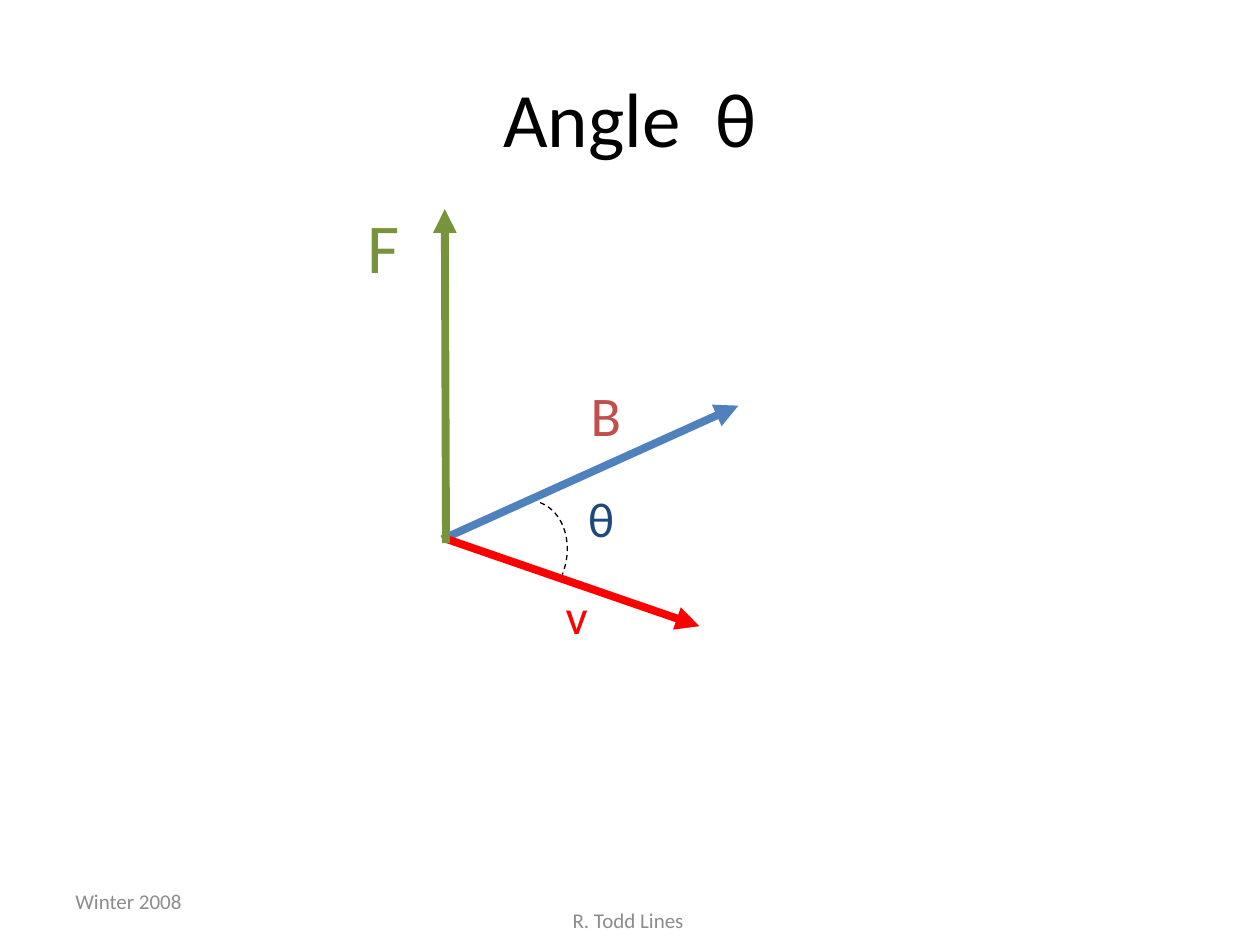
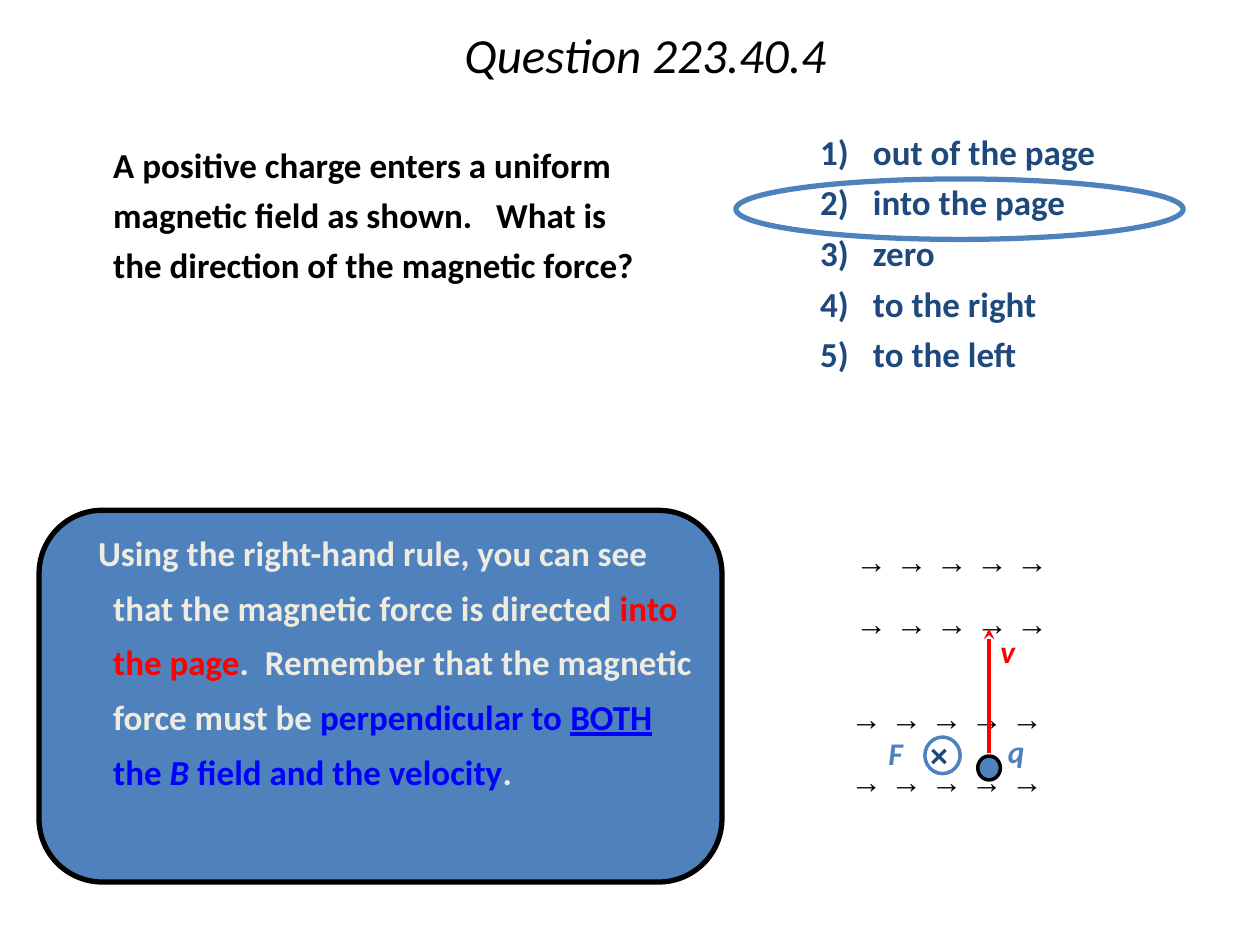
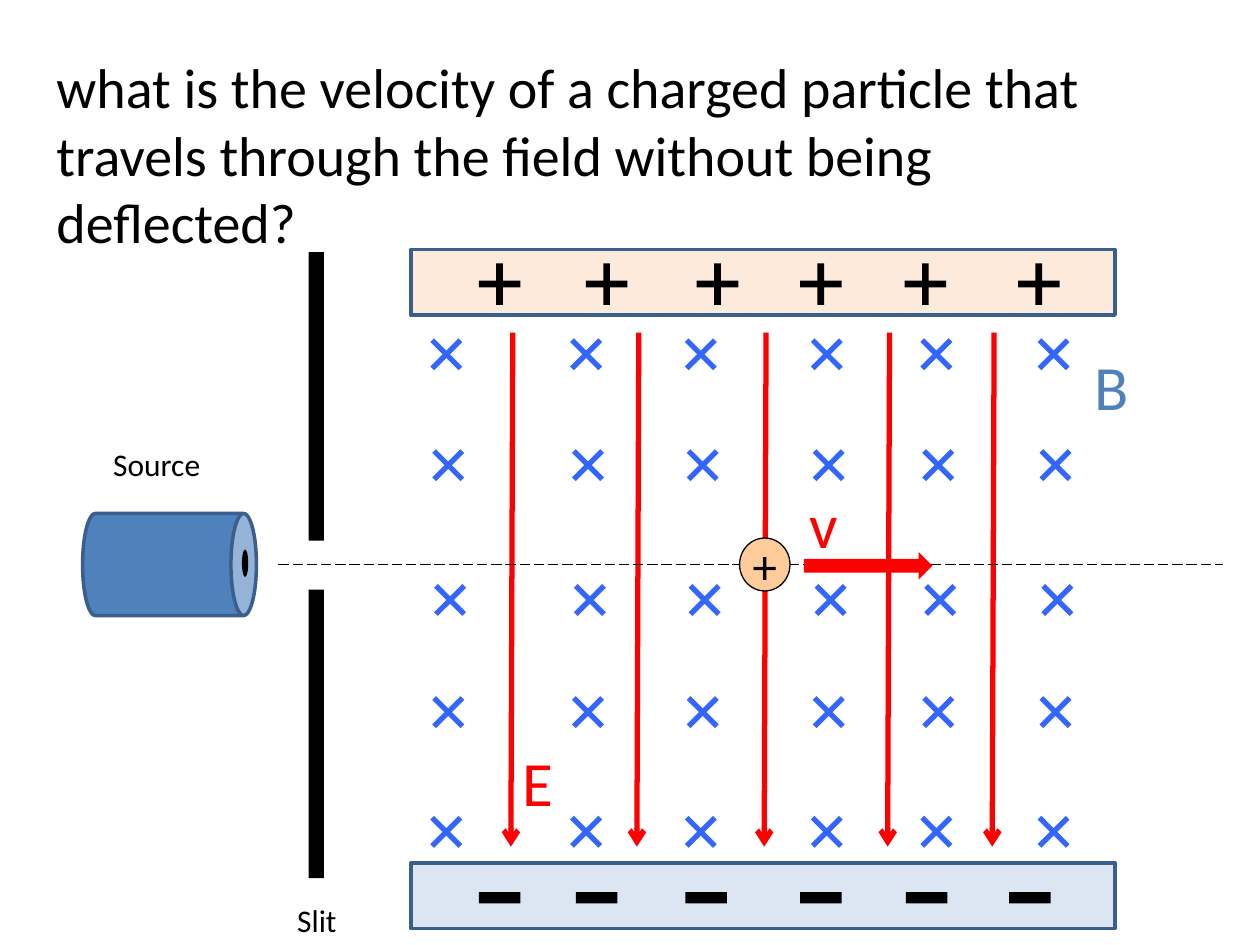
from dataclasses import dataclass
from math import cos, pi, sin

from lxml import etree
from pptx import Presentation
from pptx.dml.color import RGBColor
from pptx.enum.dml import MSO_LINE
from pptx.enum.shapes import MSO_CONNECTOR, MSO_SHAPE
from pptx.enum.text import MSO_ANCHOR, PP_ALIGN
from pptx.oxml.ns import qn
from pptx.util import Inches, Pt

STRAIGHT = MSO_CONNECTOR.STRAIGHT
RECT, ELLIPSE, ROUNDED = MSO_SHAPE.RECTANGLE, MSO_SHAPE.OVAL, MSO_SHAPE.ROUNDED_RECTANGLE
CAN, PLUS, RIGHT_ARROW = MSO_SHAPE.CAN, MSO_SHAPE.CROSS, MSO_SHAPE.RIGHT_ARROW
DASH, LONG_DASH = MSO_LINE.DASH, MSO_LINE.LONG_DASH
TOP, MIDDLE = MSO_ANCHOR.TOP, MSO_ANCHOR.MIDDLE
LEFT, CENTER = PP_ALIGN.LEFT, PP_ALIGN.CENTER

SLIDE_WIDTH, SLIDE_HEIGHT = Inches(10), Inches(7.5)
COLUMNS = 100
CELL = SLIDE_WIDTH / COLUMNS
WIDE_INSET, TIGHT_INSET = (1, 0.5), (0.7, 0.3)


@dataclass(frozen=True)
class Theme:
    """Colours, fonts, type sizes and line widths of the deck."""
    font: str = "Calibri"
    symbol_font: str = "Arial"
    ink: str = "000000"
    paper: str = "FFFFFF"
    muted: str = "8C8C8C"
    cream: str = "EEECE1"
    blue: str = "4F81BD"
    navy: str = "1F497D"
    edge: str = "3A5F8C"
    cross: str = "3366FF"
    link: str = "0000FF"
    red: str = "FF0000"
    brick: str = "C0504D"
    green: str = "77933C"
    peach: str = "FDEADA"
    ice: str = "DCE6F2"
    orange: str = "FFCC99"
    title: int = 44
    force: int = 40
    field_label: int = 36
    prompt: int = 32
    label: int = 28
    body: int = 20
    small: int = 18
    footer: int = 12
    hairline: float = 0.75
    thin: float = 2
    medium: float = 3
    thick: float = 4.5


THEME = Theme()


def cells(*counts):
    """Turn grid cells into slide lengths."""
    return [round(count * CELL) for count in counts]


def outline(line, color, width, dash=None):
    """Style a line, or hide it when it has no colour."""
    if color is None:
        line.fill.background()
        return
    line.color.rgb = RGBColor.from_string(color)
    line.width = Pt(width)
    if dash:
        line.dash_style = dash


def write(frame, paragraphs, size, color, font=THEME.font, bold=False, italic=False,
          align=LEFT, anchor=TOP, spacing=None, before=0, margin=0, indent=0,
          wrap=True, inset=WIDE_INSET):
    """Write paragraphs, each a list of (text, changes) runs, into a frame."""
    frame.word_wrap = wrap
    frame.vertical_anchor = anchor
    frame.margin_left = frame.margin_right = cells(inset[0])[0]
    frame.margin_top = frame.margin_bottom = cells(inset[1])[0]
    for number, runs in enumerate(paragraphs):
        paragraph = frame.add_paragraph() if number else frame.paragraphs[0]
        properties = paragraph._p.get_or_add_pPr()
        for key, value in zip(("marL", "indent"), cells(margin, indent)):
            properties.set(key, str(value))
        paragraph.alignment = align
        if spacing:
            paragraph.line_spacing = spacing
        if number:
            paragraph.space_before = Pt(before)
        for words, changes in runs:
            run = paragraph.add_run()
            run.text = words
            run.font.name, run.font.size = font, Pt(size)
            run.font.bold = bold
            run.font.italic = changes.get("italic", italic)
            run.font.underline = changes.get("underline", False)
            run.font.color.rgb = RGBColor.from_string(changes.get("color", color))


@dataclass
class Region:
    """A box on a slide, in grid cells, that places parts from its corner."""
    slide: object
    left: float
    top: float
    width: float
    height: float

    def place(self, x, y):
        """Give the slide position of a point in the region."""
        return cells(self.left + x, self.top + y)

    def text(self, paragraphs, size, color, box=None, **style):
        """Add a text box, filling the region unless a box is given."""
        x, y, width, height = box or (0, 0, self.width, self.height)
        holder = self.slide.shapes.add_textbox(*self.place(x, y), *cells(width, height))
        write(holder.text_frame, paragraphs, size, color, **style)

    def label(self, words, size, color, box, **style):
        """Add a one-line label that does not wrap."""
        self.text([[(words, {})]], size, color, box, wrap=False, **style)

    def shape(self, kind, box, fill=None, line=None, width=0, adjust=None):
        """Add a preset shape."""
        x, y, *size = box
        shape = self.slide.shapes.add_shape(kind, *self.place(x, y), *cells(*size))
        self.finish(shape, fill, line, width)
        if adjust is not None:
            shape.adjustments[0] = adjust
        return shape

    def finish(self, shape, fill, line, width, dash=None):
        """Give a shape its fill and outline, without shadow."""
        shape.shadow.inherit = False
        if fill:
            shape.fill.solid()
            shape.fill.fore_color.rgb = RGBColor.from_string(fill)
        else:
            shape.fill.background()
        outline(shape.line, line, width, dash)

    def line(self, start, end, color, width, head=None, dash=None):
        """Add a straight line, with an arrowhead at its end if named."""
        connector = self.slide.shapes.add_connector(STRAIGHT, *self.place(*start), *self.place(*end))
        outline(connector.line, color, width, dash)
        properties = connector._element.spPr
        if head:
            etree.SubElement(connector.line._get_or_add_ln(), qn("a:tailEnd"), type=head)
        etree.SubElement(properties, qn("a:effectLst"))

    def quarter_arc(self, box, color, width, rotation, steps=24):
        """Add a dashed quarter ellipse from top left to bottom right of a box."""
        x, y, across, down = box
        turns = [pi / 2 * step / steps for step in range(steps + 1)]
        points = [tuple(self.place(x + across * sin(t), y + down * (1 - cos(t)))) for t in turns]
        builder = self.slide.shapes.build_freeform(*points[0])
        builder.add_line_segments(points[1:], close=False)
        arc = builder.convert_to_shape()
        self.finish(arc, None, color, width, DASH)
        arc.rotation = rotation


def title(region, words, size, **style):
    """Centre a title in its region."""
    region.text([[(words, {})]], size, THEME.ink, align=CENTER, anchor=MIDDLE, **style)


def footer(region):
    """Write the term and the author at the foot of the slide."""
    for words, box, align in (("Winter 2008", (0, 0, 23.3, 4), LEFT),
                              ("R. Todd Lines", (29, 1.5, 31.7, 4), CENTER)):
        region.text([[(words, {})]], THEME.footer, THEME.muted, box, align=align, anchor=MIDDLE)


def force_vectors(region):
    """Draw field, velocity and force vectors with the angle between."""
    region.line((7.1, 27.8), (30.6, 17.2), THEME.blue, THEME.thick, "triangle")
    region.line((7.2, 27.7), (27.5, 34.7), THEME.red, THEME.thick, "triangle")
    region.label("v", THEME.label, THEME.red, (15.9, 31, 4, 5.7))
    region.label("B", THEME.prompt, THEME.brick, (17.9, 14.7, 5, 6.3))
    region.label("θ", THEME.label, THEME.navy, (17.7, 23.3, 4, 5.7))
    region.quarter_arc((13.9, 25.4, 3.7, 4.7), THEME.ink, THEME.hairline, 21)
    region.line((7.4, 28.1), (7.3, 1.6), THEME.green, THEME.thick, "triangle")
    region.label("F", THEME.force, THEME.green, (0.2, 0.7, 4.6, 7.7))


def answer_panel(region):
    """Explain the answer on a rounded panel."""
    region.shape(ROUNDED, (0, 0, region.width, region.height), THEME.blue, THEME.ink, THEME.medium, 0.17)
    linked = {"color": THEME.link}
    explanation = [
        ("Using the right-hand rule, you can see that the magnetic force is directed ", {}),
        ("into the page", {"color": THEME.red}),
        (".  Remember that the magnetic force must be ", {}),
        ("perpendicular to ", linked),
        ("BOTH", {**linked, "underline": True}),
        (" the ", linked),
        ("B", {**linked, "italic": True}),
        (" field and the velocity", linked),
        (".", {}),
    ]
    region.text([explanation], THEME.body, THEME.cream, (1.8, 0.2, 51.6, 27), bold=True,
                spacing=1.3, margin=3.1, indent=-1.2)


def answer_options(region):
    """List the answers and ring the right one."""
    options = ("out of the page", "into the page", "zero", "to the right", "to the left")
    region.text([[(f"{number})\t{option}", {})] for number, option in enumerate(options, 1)],
                THEME.body, THEME.navy, bold=True, spacing=0.8, before=9.7, margin=4.2, indent=-4.2)
    region.shape(ELLIPSE, (-5.7, 3.7, 35.5, 4.8), line=THEME.blue, width=THEME.medium)


def question(region):
    """Ask the question."""
    words = ("A positive charge enters a uniform magnetic field as shown.   "
             "What is the direction of the magnetic force?")
    region.text([[(words, {})]], THEME.body, THEME.ink, bold=True, spacing=1.2, margin=4.4)


def charge_in_field(region):
    """Draw a charge moving across field arrows, with the force into the page."""
    region.shape(RECT, (0, 0, region.width, region.height), THEME.paper)
    arrows = [[("→ → → → →", {})]] * 2
    for box in ((4.2, 2.2, 25.8, 11.9), (3.8, 14.7, 24.8, 11.9)):
        region.text(arrows, THEME.small, THEME.ink, box, font=THEME.symbol_font, bold=True,
                    spacing=1.14, before=11, inset=TIGHT_INSET)
    region.shape(ELLIPSE, (14.6, 19.9, 1.8, 1.9), THEME.blue, THEME.ink, THEME.thin)
    region.line((15.5, 19.7), (15.5, 9.8), THEME.red, THEME.thin, "stealth")
    for letter, color, box in (("v", THEME.red, (15.7, 10.2, 2.8, 3.2)),
                               ("q", THEME.blue, (16.3, 18.1, 3.4, 4)),
                               ("F", THEME.blue, (6.8, 18.3, 3, 3.2))):
        region.label(letter, THEME.small, color, box, bold=True, italic=True,
                     spacing=0.87, inset=TIGHT_INSET)
    region.label("×", THEME.small, THEME.navy, (10.1, 17.8, 3.2, 4.9), font=THEME.symbol_font,
                 bold=True, spacing=1.08, inset=TIGHT_INSET)
    region.shape(ELLIPSE, (10.4, 18.4, 2.8, 2.9), line=THEME.blue, width=THEME.thin)


def crossed_fields(region):
    """Draw the magnetic field, the charged plates and the electric field."""
    arm = 2.24
    for y, shift in ((7.2, 0), (16, 0.15), (26.7, 0.3), (35.6, 0.15), (45.1, 0)):
        for column in (1.7, 12.8, 21.9, 31.9, 40.6, 49.9):
            x = column + shift
            region.line((x, y), (x + arm, y + arm), THEME.cross, THEME.medium)
            region.line((x + arm, y), (x, y + arm), THEME.cross, THEME.medium)
    for y, fill in ((0, THEME.peach), (48.7, THEME.ice)):
        region.shape(RECT, (0, y, region.width, 5.2), fill, THEME.edge, THEME.thin)
    for x in (8.1, 18.1, 28.2, 38, 46.3):
        region.line((x, 6.6), (x - 0.15, 47.4), THEME.red, THEME.medium, "arrow")
    for x in (5.4, 13.9, 22.7, 30.9, 39.2, 48.2):
        region.shape(PLUS, (x, 1.1, 3.3, 3.3), THEME.ink, adjust=0.42)
    for x in (5.4, 13.1, 21.8, 30.9, 39.3, 47.5):
        region.shape(RECT, (x, 51, 3.3, 0.9), THEME.ink)
    region.text([[("B", {})]], THEME.field_label, THEME.blue, (53.3, 7.3, 5.7, 7.1))
    region.text([[("E", {})]], THEME.field_label, THEME.red, (7.9, 38.7, 5.7, 7.1))


def particle_source(region):
    """Draw the source, the slit and the path through it."""
    can = region.shape(CAN, (3, 17.9, 8.1, 13.8), THEME.blue, THEME.edge, THEME.thin)
    can.rotation = 90
    for y in (0, 26.8):
        region.shape(RECT, (18.1, y, 1.2, 22.9), THEME.ink)
    region.label("Source", THEME.small, THEME.ink, (1.6, 14.8, 9, 4))
    region.label("Slit", THEME.small, THEME.ink, (16.2, 51, 5.2, 4))
    region.line((15.7, 24.8), (90.7, 24.8), THEME.ink, THEME.hairline, dash=LONG_DASH)
    region.shape(ELLIPSE, (12.8, 23.6, 0.5, 2.2), THEME.ink)


def moving_charge(region):
    """Draw the positive charge and its velocity."""
    charge = region.shape(ELLIPSE, (0, 0, 4, 4.2), THEME.orange, THEME.ink, THEME.hairline)
    write(charge.text_frame, [[("+", {})]], THEME.label, THEME.ink, align=CENTER, anchor=MIDDLE, wrap=False)
    region.shape(RIGHT_ARROW, (5.1, 1.1, 10.2, 2.2), THEME.red)
    region.text([[("v", {})]], THEME.field_label, THEME.red, (4.6, -4.7, 5.7, 7.1))


def angle_slide(slide):
    """Show the angle between velocity and field."""
    footer(Region(slide, 5, 69.5, 60.7, 5.5))
    title(Region(slide, 5, 3, 90, 12.5), "Angle  θ", THEME.title)
    force_vectors(Region(slide, 28, 15, 31, 37))


def question_slide(slide):
    """Show the question with its answer."""
    answer_panel(Region(slide, 3.1, 40.5, 54.2, 29.5))
    answer_options(Region(slide, 64.1, 10.5, 35.9, 21))
    charge_in_field(Region(slide, 63, 40.1, 30.2, 31.2))
    title(Region(slide, 7.2, 0, 88, 9.2), "Question 223.40.4", THEME.label, italic=True, spacing=0.9)
    question(Region(slide, 3.6, 10.2, 48.2, 20.5))


def selector_slide(slide):
    """Show a charge passing through crossed fields."""
    prompt = "what is the velocity of a charged particle that travels through the field without being deflected?"
    Region(slide, 3.5, 3.7, 90, 49.5).text([[(prompt, {})]], THEME.prompt, THEME.ink)
    crossed_fields(Region(slide, 32.6, 19.8, 55.9, 53.9))
    particle_source(Region(slide, 6.4, 20, 90.7, 55))
    moving_charge(Region(slide, 58.7, 42.7, 15.3, 4.2))


def main():
    """Build and save the deck."""
    deck = Presentation()
    deck.slide_width, deck.slide_height = SLIDE_WIDTH, SLIDE_HEIGHT
    blank = deck.slide_layouts[6]
    for build in (angle_slide, question_slide, selector_slide):
        build(deck.slides.add_slide(blank))
    deck.save("out.pptx")


if __name__ == "__main__":
    main()
